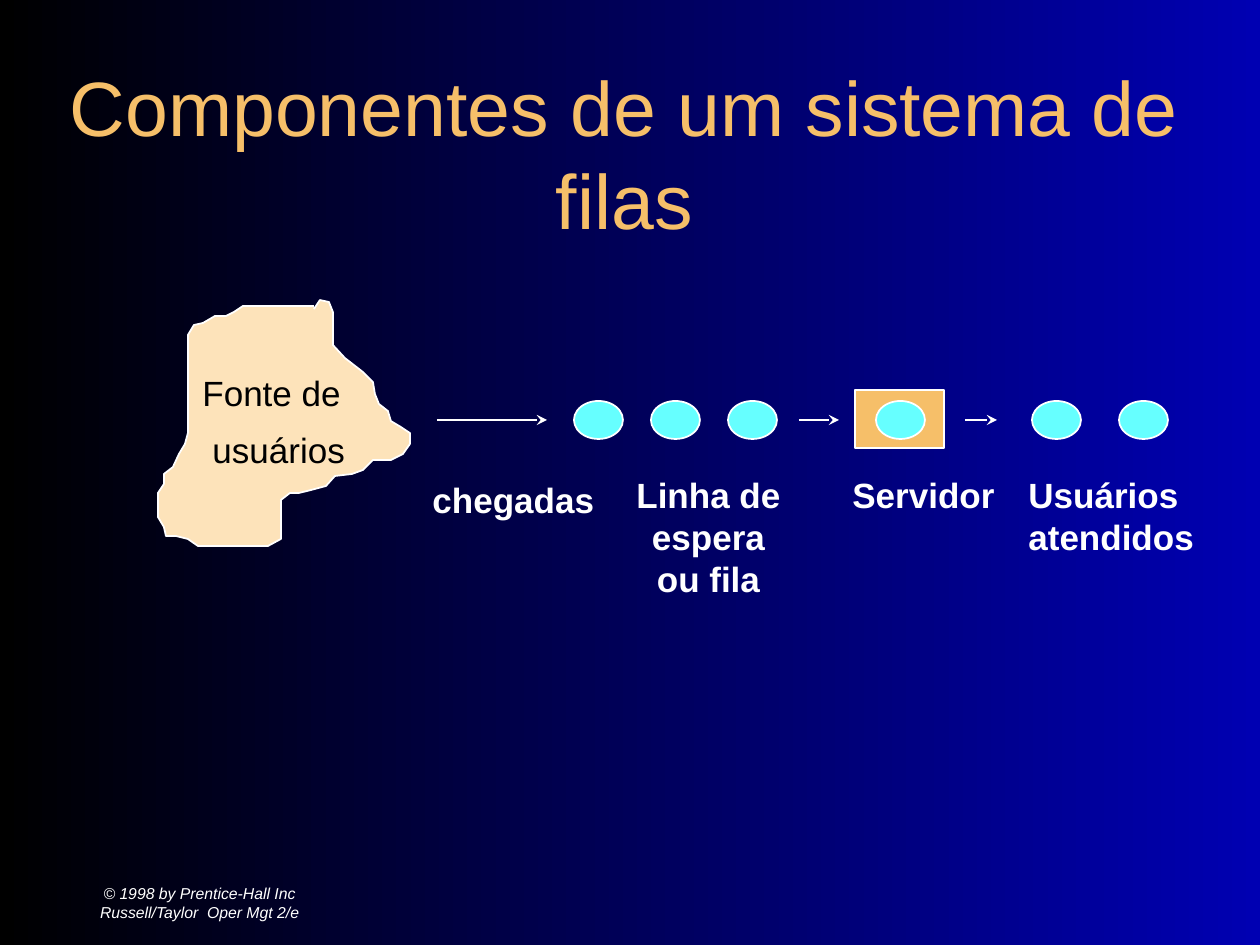
from typing import NamedTuple

from lxml.etree import SubElement
from pptx import Presentation
from pptx.dml.color import RGBColor
from pptx.enum.shapes import MSO_CONNECTOR, MSO_SHAPE
from pptx.enum.text import MSO_ANCHOR, MSO_AUTO_SIZE, PP_ALIGN
from pptx.oxml.ns import qn
from pptx.util import Emu, Pt

PX = 914400 / 126
WHITE, ORANGE, CREAM, CYAN = "FFFFFF", "F6BF69", "FDE3BA", "66FFFF"


class Label(NamedTuple):
    x: int
    y: int
    w: int
    h: int
    lines: tuple[str, ...]
    size: int = 20
    color: str = WHITE
    bold: bool = False
    italic: bool = False
    centered: bool = False
    middle: bool = False
    wrap: bool = False
    grow: bool = True
    line_spacing: float = 1.0
    space_before: float = 0


class Arrow(NamedTuple):
    x1: int
    x2: int


FLOW_Y = 420
USER_Y, USER_W, USER_H = 401, 49, 38
USERS_X = [574 + 77 * i for i in range(3)] + [876, 1032, 1119]
ARROWS = [Arrow(437, 547), Arrow(799, 839), Arrow(965, 997)]
SOURCE_OUTLINE = [
    (314, 306), (243, 306), (234, 312), (226, 316), (215, 316), (203, 323),
    (194, 325), (188, 335), (188, 433), (185, 444), (179, 454), (173, 467),
    (164, 474), (164, 484), (158, 493), (158, 517), (164, 527), (166, 536),
    (176, 536), (188, 539), (198, 546), (268, 546), (281, 539), (281, 500),
    (290, 493), (299, 493), (311, 490), (326, 486), (335, 476), (352, 474),
    (363, 470), (373, 460), (391, 460), (403, 454), (410, 444), (410, 433),
    (401, 427), (391, 421), (388, 411), (379, 404), (375, 394), (373, 382),
    (363, 372), (345, 358), (333, 345), (333, 312), (329, 302), (320, 300),
    (314, 309),
]
SOURCE_LABEL = Label(190, 370, 168, 107, ("Fonte de", "usuários"),
                     color="000000", line_spacing=0.9, space_before=11.2)
LABELS = [
    Label(0, 871, 399, 63,
          ("© 1998 by Prentice-Hall Inc", "Russell/Taylor  Oper Mgt 2/e"),
          size=9, italic=True, centered=True, middle=True, grow=False),
    Label(42, 73, 1165, 158, ("Componentes de um sistema de filas",), size=44,
          color=ORANGE, centered=True, middle=True, wrap=True, grow=False),
    Label(420, 472, 194, 54, ("chegadas",), bold=True),
    Label(624, 467, 169, 139, ("Linha de", "espera", "ou fila"), bold=True,
          centered=True),
    Label(840, 467, 172, 54, ("Servidor",), bold=True),
    Label(1016, 467, 198, 96, ("Usuários", "atendidos"), bold=True),
]


def px(n: int) -> Emu:
    return Emu(round(n * PX))


def rgb(color: str) -> RGBColor:
    return RGBColor.from_string(color)


def style(sp, fill: str) -> None:
    sp.shadow.inherit = False
    sp.fill.solid()
    sp.fill.fore_color.rgb = rgb(fill)
    sp.line.color.rgb = rgb(WHITE)
    sp.line.width = Pt(1)


def add_box(s, kind: MSO_SHAPE, x: int, y: int, w: int, h: int, fill: str) -> None:
    style(s.shapes.add_shape(kind, px(x), px(y), px(w), px(h)), fill)


def add_label(s, label: Label):
    sp = s.shapes.add_textbox(px(label.x), px(label.y), px(label.w), px(label.h))
    tf = sp.text_frame
    tf.word_wrap = label.wrap
    tf.auto_size = MSO_AUTO_SIZE.SHAPE_TO_FIT_TEXT if label.grow else MSO_AUTO_SIZE.NONE
    tf.vertical_anchor = MSO_ANCHOR.MIDDLE if label.middle else MSO_ANCHOR.TOP
    for i, line in enumerate(label.lines):
        p = tf.add_paragraph() if i else tf.paragraphs[0]
        p.alignment = PP_ALIGN.CENTER if label.centered else PP_ALIGN.LEFT
        p.line_spacing = label.line_spacing
        p.space_before = Pt(label.space_before if i else 0)
        r = p.add_run()
        r.text = line
        font = r.font
        font.name, font.size = "Arial", Pt(label.size)
        font.bold, font.italic = label.bold, label.italic
        font.color.rgb = rgb(label.color)
    return sp


def add_arrow(s, arrow: Arrow) -> None:
    cn = s.shapes.add_connector(MSO_CONNECTOR.STRAIGHT, px(arrow.x1), px(FLOW_Y),
                                px(arrow.x2), px(FLOW_Y))
    cn.line.color.rgb = rgb(WHITE)
    cn.line.width = Pt(1)
    sp_pr = cn._element.spPr
    SubElement(sp_pr.find(qn("a:ln")), qn("a:tailEnd"), type="stealth")
    SubElement(sp_pr, qn("a:effectLst"))


def add_source(s) -> None:
    """Draw the customer source with its label, second line slightly indented."""
    builder = s.shapes.build_freeform(*SOURCE_OUTLINE[0], scale=PX)
    builder.add_line_segments(SOURCE_OUTLINE[1:], close=False)
    style(builder.convert_to_shape(), CREAM)
    sp = add_label(s, SOURCE_LABEL)
    sp.text_frame.paragraphs[1]._p.get_or_add_pPr().set("marL", str(px(10)))


def main() -> None:
    prs = Presentation()
    prs.slide_width, prs.slide_height = px(1260), px(945)
    s = prs.slides.add_slide(prs.slide_layouts[6])
    bg = s.background.fill
    bg.gradient()
    bg.gradient_angle = 0
    for stop, color in zip(bg.gradient_stops, ("000000", "0000B2")):
        stop.color.rgb = rgb(color)

    add_source(s)
    add_box(s, MSO_SHAPE.RECTANGLE, 855, 390, 89, 58, ORANGE)
    for x in USERS_X:
        add_box(s, MSO_SHAPE.OVAL, x, USER_Y, USER_W, USER_H, CYAN)
    for arrow in ARROWS:
        add_arrow(s, arrow)
    for label in LABELS:
        add_label(s, label)
    prs.save("out.pptx")


if __name__ == "__main__":
    main()
